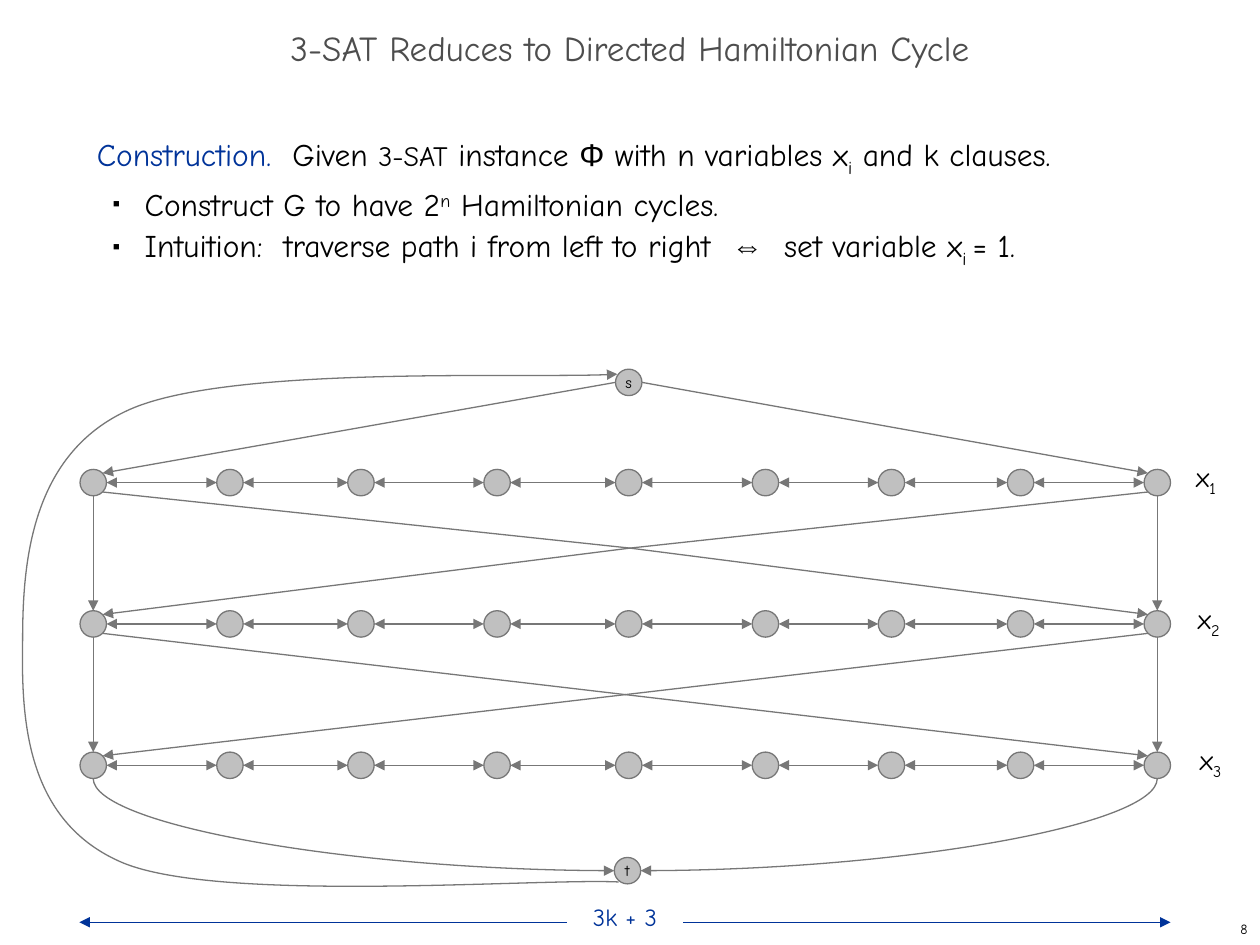
import pptx
import pptx.util
import pptx.dml.color
import pptx.enum.shapes
import pptx.enum.text
import pptx.oxml
import pptx.oxml.ns

COLS, ROWS = 100, 75
HUES = {"ink": "000000", "title": "4D4D4D", "blue": "003399",
        "node": "C0C0C0", "edge": "777777", "back": "FFFFFF"}
ALIGN = pptx.enum.text.PP_ALIGN
ANCHOR = pptx.enum.text.MSO_ANCHOR
SHAPE = pptx.enum.shapes.MSO_SHAPE
LINK = pptx.enum.shapes.MSO_CONNECTOR
qn = pptx.oxml.ns.qn


def hue(name):
    return pptx.dml.color.RGBColor.from_string(HUES[name])


def add(parent, tag, **attrs):
    item = pptx.oxml.parse_xml(f"<{tag} {pptx.oxml.ns.nsdecls('a')}/>")
    for key, value in attrs.items():
        item.set(key, str(value))
    parent.append(item)
    return item


class Sheet:
    """Style and current slide; lengths are grid columns and rows."""
    font = "Comic Neue"
    size = 2.1
    width = 0.75

    def __init__(self, deck):
        self.slide = deck.slides.add_slide(deck.slide_layouts[6])
        self.shapes = self.slide.shapes
        self.col = deck.slide_width / COLS
        self.row = deck.slide_height / ROWS

    def place(self, x, y):
        return round(x * self.col), round(y * self.row)

    def style(self, run, size, color="ink", font=None, base=0):
        run.font.size = pptx.util.Pt(size)
        run.font.name = font or self.font
        run.font.color.rgb = hue(color)
        if base:
            run.font._element.set("baseline", str(base * 1000))

    def fill_in(self, para, parts, size, color="ink"):
        """Each part is a text or a (text, changes) pair."""
        for part in parts:
            words, extra = (part, {}) if isinstance(part, str) else part
            run = para.add_run()
            run.text = words
            self.style(run, **{"size": size, "color": color, **extra})

    def text(self, x, y, w, h, parts, size, color="ink", align=ALIGN.LEFT,
             anchor=ANCHOR.TOP):
        box = self.shapes.add_textbox(*self.place(x, y), *self.place(w, h))
        frame = box.text_frame
        frame.word_wrap, frame.vertical_anchor = True, anchor
        frame.paragraphs[0].alignment = align
        self.fill_in(frame.paragraphs[0], parts, size, color)
        return frame

    def bullet(self, para):
        props = para._p.get_or_add_pPr()
        props.set("marL", str(pptx.util.Inches(0.38)))
        props.set("indent", str(pptx.util.Inches(-0.25)))
        add(add(props, "a:buClr"), "a:srgbClr", val=HUES["ink"])
        add(props, "a:buSzPct", val=35000)
        add(props, "a:buFont", typeface="Arial")
        add(props, "a:buChar", char="■")

    def shape(self, kind, x, y, w, h, fill, line=None, label="", size=9,
              color="ink"):
        item = self.shapes.add_shape(kind, *self.place(x, y), *self.place(w, h))
        item.shadow.inherit = False
        item.fill.solid()
        item.fill.fore_color.rgb = hue(fill)
        if line:
            self.stroke(item, line)
        else:
            item.line.fill.background()
        if label:
            frame = item.text_frame
            frame.margin_left = frame.margin_right = 0
            frame.margin_top = frame.margin_bottom = 0
            frame.word_wrap, frame.vertical_anchor = False, ANCHOR.MIDDLE
            frame.text = label
            frame.paragraphs[0].alignment = ALIGN.CENTER
            self.style(frame.paragraphs[0].runs[0], size, color)

    def node(self, x, y, label=""):
        half = self.size / 2
        self.shape(SHAPE.OVAL, x - half, y - half, self.size, self.size,
                   "node", "edge", label)

    def stroke(self, item, color, head=False, tail=False):
        item.line.color.rgb = hue(color)
        item.line.width = pptx.util.Pt(self.width)
        for tag, used in (("a:headEnd", head), ("a:tailEnd", tail)):
            if used:
                add(item.line._get_or_add_ln(), tag, type="triangle")

    def arrow(self, start, end, head=False, tail=True, color="edge",
              bent=False):
        kind = LINK.CURVE if bent else LINK.STRAIGHT
        item = self.shapes.add_connector(kind, *self.place(*start),
                                         *self.place(*end))
        if bent:
            item._element.spPr.find(qn("a:prstGeom")).set(
                "prst", "curvedConnector2")
        self.stroke(item, color, head, tail)
        add(item._element.spPr, "a:effectLst")

    def curve(self, points):
        """Bezier path: a start, then three points for each piece."""
        spots = [self.place(*point) for point in points]
        pen = self.shapes.build_freeform(*spots[0])
        pen.add_line_segments(spots[1:], close=False)
        item = pen.convert_to_shape()
        item.shadow.inherit = False
        item.fill.background()
        trail = next(item._element.iter(qn("a:path")))
        steps = trail.findall(qn("a:lnTo"))
        for i in range(0, len(steps), 3):
            piece = add(trail, "a:cubicBezTo")
            for step in steps[i:i + 3]:
                piece.append(step[0])
                trail.remove(step)
        self.stroke(item, "edge", tail=True)


def main():
    deck = pptx.Presentation()
    deck.slide_width = pptx.util.Inches(10)
    deck.slide_height = pptx.util.Inches(7.5)
    sheet = Sheet(deck)

    # Title and page number
    sheet.text(0, 1.7, 100, 5, ["3-SAT Reduces to Directed Hamiltonian Cycle"],
               20, "title", ALIGN.CENTER, ANCHOR.MIDDLE).paragraphs[0].line_spacing = 0.7
    sheet.text(79.2, 72.5, 20.8, 2.5, ["8"], 8, align=ALIGN.RIGHT,
               anchor=ANCHOR.MIDDLE)

    # Construction
    low, high, arial = {"base": -25}, {"base": 30}, {"font": "Arial"}
    body = sheet.text(6.7, 10, 85.8, 59.2, [
        ("Construction.  ", {"color": "blue"}), "Given ",
        ("3-SAT", {"size": 16}), " instance ", ("Φ", arial),
        " with n variables x", ("i", low), " and k clauses."], 18)
    for parts in (
            ["Construct G to have 2", ("n", high), " Hamiltonian cycles."],
            ["Intuition:  traverse path i from left to right  ", ("⇔", arial),
             "  set variable x", ("i ", low), "= 1."]):
        para = body.add_paragraph()
        para.level = 1
        sheet.bullet(para)
        sheet.fill_in(para, parts, 18)
    for para in body.paragraphs:
        para.line_spacing = pptx.util.Pt(26)

    # Graph layout
    xs = [7.4, 18.25, 28.65, 39.45, 49.9, 60.75, 70.75, 81, 91.85]
    ys = [38.3 + 11.22 * i for i in range(3)]
    left, right = xs[0], xs[-1]
    half, slant = sheet.size / 2, 0.75
    top, base = (49.9, 30.35), (49.8, 69.1)

    # Variable paths
    for y in ys:
        for a, b in zip(xs, xs[1:]):
            sheet.arrow((a + half, y), (b - half, y), head=True)

    # Links between paths
    for upper, lower in zip(ys, ys[1:]):
        for x in (left, right):
            sheet.arrow((x, upper + half), (x, lower - half))
    ends = (left + slant, right - slant)
    cross = (50, 43.5)
    for a, b in (ends, ends[::-1]):
        sheet.arrow((a, ys[0] + slant), cross, tail=False)
        sheet.arrow(cross, (b, ys[1] - slant))
        sheet.arrow((a, ys[1] + slant), (b, ys[2] - slant))

    # Links from s and into t
    for side, x in ((-1, left), (1, right)):
        sheet.arrow((top[0] + side * half, top[1]),
                    (x - side * slant, ys[0] - slant))
        sheet.arrow((base[0] + side * half, base[1]), (x, ys[2] + half),
                    head=True, tail=False, bent=True)
    sheet.curve([(49.1, 70), (42.6, 69.7), (17.7, 71.7), (9.8, 68.5),
                 (1.9, 65.2), (1.7, 56.8), (1.8, 50.8),
                 (1.8, 44.8), (2.4, 36), (10.3, 32.5),
                 (18.2, 29), (42.6, 30.1), (49, 29.7)])

    # Nodes and row labels
    for i, y in enumerate(ys, 1):
        for x in xs:
            sheet.node(x, y)
        sheet.text(93.8 + 0.15 * i, y - 2.3, 5, 4, ["x", (str(i), low)], 16)
    sheet.node(*top, "s")
    sheet.node(*base, "t")

    # Width of a path
    sheet.arrow((6.3, 73.2), (92.9, 73.2), head=True, color="blue")
    sheet.shape(SHAPE.RECTANGLE, 45, 71.6, 9.2, 2.3, "back", label="3k + 3",
                size=14, color="blue")

    deck.save("out.pptx")


if __name__ == "__main__":
    main()
